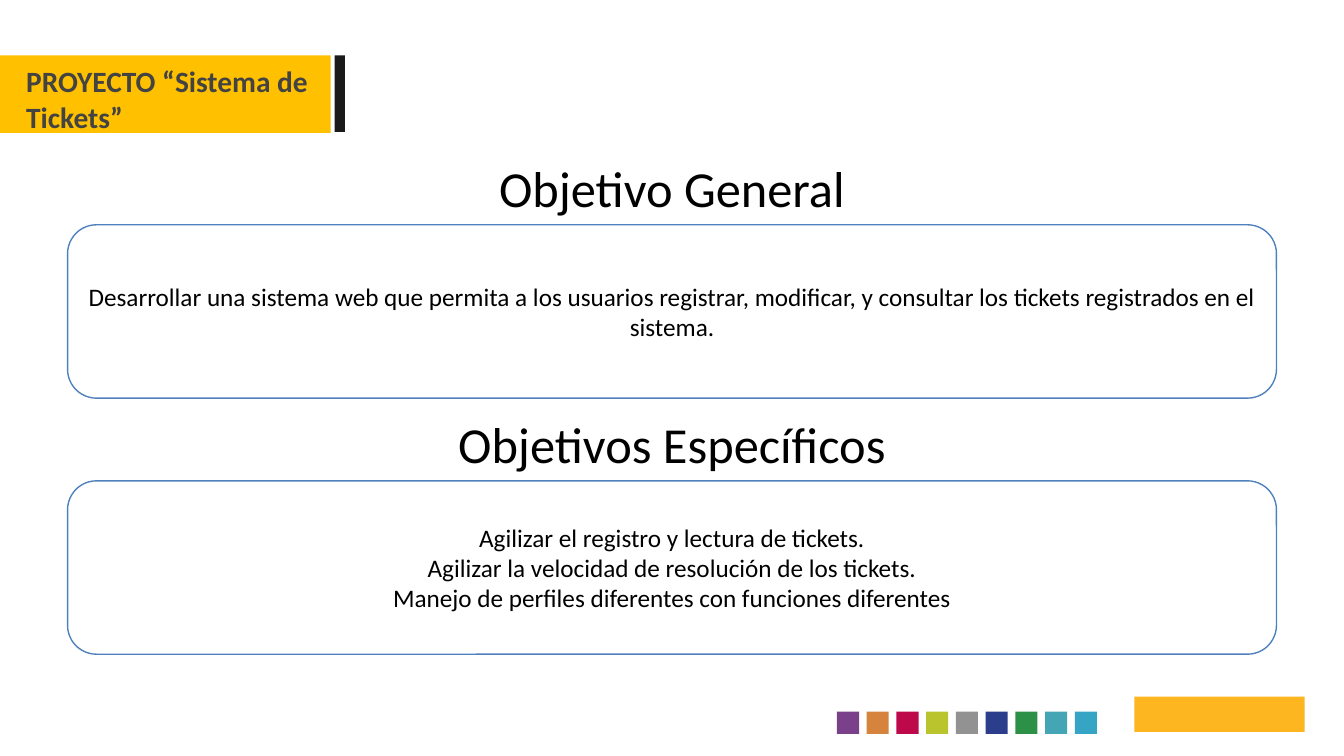
from pptx import Presentation
from pptx.dml.color import RGBColor
from pptx.enum.shapes import MSO_SHAPE
from pptx.enum.text import MSO_ANCHOR, PP_ALIGN
from pptx.util import Inches, Pt

SQUARE_COLORS = ["7B408A", "D6843D", "BD0949", "BAC52E", "929292",
                 "2C3E8B", "2C9146", "44A6B5", "35A4C5"]
SECTIONS = [
    ("Objetivo General",
     ["Desarrollar una sistema web que permita a los usuarios registrar, "
      "modificar, y consultar los tickets registrados en el sistema."]),
    ("Objetivos Específicos",
     ["Agilizar el registro y lectura de tickets.",
      "Agilizar la velocidad de resolución de los tickets.",
      "Manejo de perfiles diferentes con funciones diferentes"]),
]


def rgb(color):
    return RGBColor.from_string(color)


class SlideBuilder:
    """Holds the slide and its text style."""

    font = "Calibri"
    ink = "000000"

    def __init__(self, slide):
        self.slide = slide

    def set_text(self, tf, lines, size, color=ink, bold=False, align=PP_ALIGN.CENTER):
        tf.word_wrap = True
        for i, line in enumerate(lines):
            p = tf.add_paragraph() if i else tf.paragraphs[0]
            p.text = line
            p.alignment = align
            p.space_before = Pt(0)
            p.font.name = self.font
            p.font.size = Pt(size)
            p.font.bold = bold
            p.font.color.rgb = rgb(color)

    def shape(self, kind, left, top, width, height, fill, line=None):
        sp = self.slide.shapes.add_shape(
            kind, Inches(left), Inches(top), Inches(width), Inches(height))
        sp.shadow.inherit = False
        sp.fill.solid()
        sp.fill.fore_color.rgb = rgb(fill)
        if line:
            sp.line.color.rgb = rgb(line)
            sp.line.width = Pt(1)
        else:
            sp.line.fill.background()
        return sp

    def block(self, left, top, width, height, fill):
        return self.shape(MSO_SHAPE.RECTANGLE, left, top, width, height, fill)

    def heading(self, text, top):
        sp = self.slide.shapes.add_textbox(
            Inches(0), Inches(top), Inches(13.33), Inches(0.71))
        self.set_text(sp.text_frame, [text], 36)

    def panel(self, lines, top):
        sp = self.shape(MSO_SHAPE.ROUNDED_RECTANGLE, 0.67, top, 11.99, 1.72,
                        "FFFFFF", "4F81BD")
        sp.text_frame.vertical_anchor = MSO_ANCHOR.MIDDLE
        self.set_text(sp.text_frame, lines, 18)

    def title(self, text):
        """Fill the title placeholder and bring it in front of its band."""
        sp = self.slide.shapes.title
        sp.left, sp.top = Inches(0.26), Inches(0.63)
        sp.width, sp.height = Inches(2.88), Inches(0.71)
        tf = sp.text_frame
        tf.margin_left = tf.margin_right = tf.margin_top = tf.margin_bottom = 0
        tf.vertical_anchor = MSO_ANCHOR.TOP
        self.set_text(tf, [text], 21, "434343", True, PP_ALIGN.LEFT)
        self.slide.shapes.element.append(sp.element)


def main():
    prs = Presentation()
    prs.slide_width, prs.slide_height = Inches(13.33), Inches(7.5)
    s = SlideBuilder(prs.slides.add_slide(prs.slide_layouts[5]))

    s.block(0, 0.55, 3.28, 0.77, "FFC000")
    s.block(3.32, 0.55, 0.1, 0.76, "1A1A1A")
    s.title("PROYECTO “Sistema de Tickets”")

    for i, (heading, lines) in enumerate(SECTIONS):
        top = 1.51 + i * 2.54
        s.heading(heading, top)
        s.panel(lines, top + 0.72)

    for i, color in enumerate(SQUARE_COLORS):
        s.block(8.3 + i * 2.36 / 8, 7.06, 0.22, 0.22, color)
    s.block(11.25, 6.91, 1.69, 0.35, "FEB620")

    prs.save("out.pptx")


if __name__ == "__main__":
    main()
